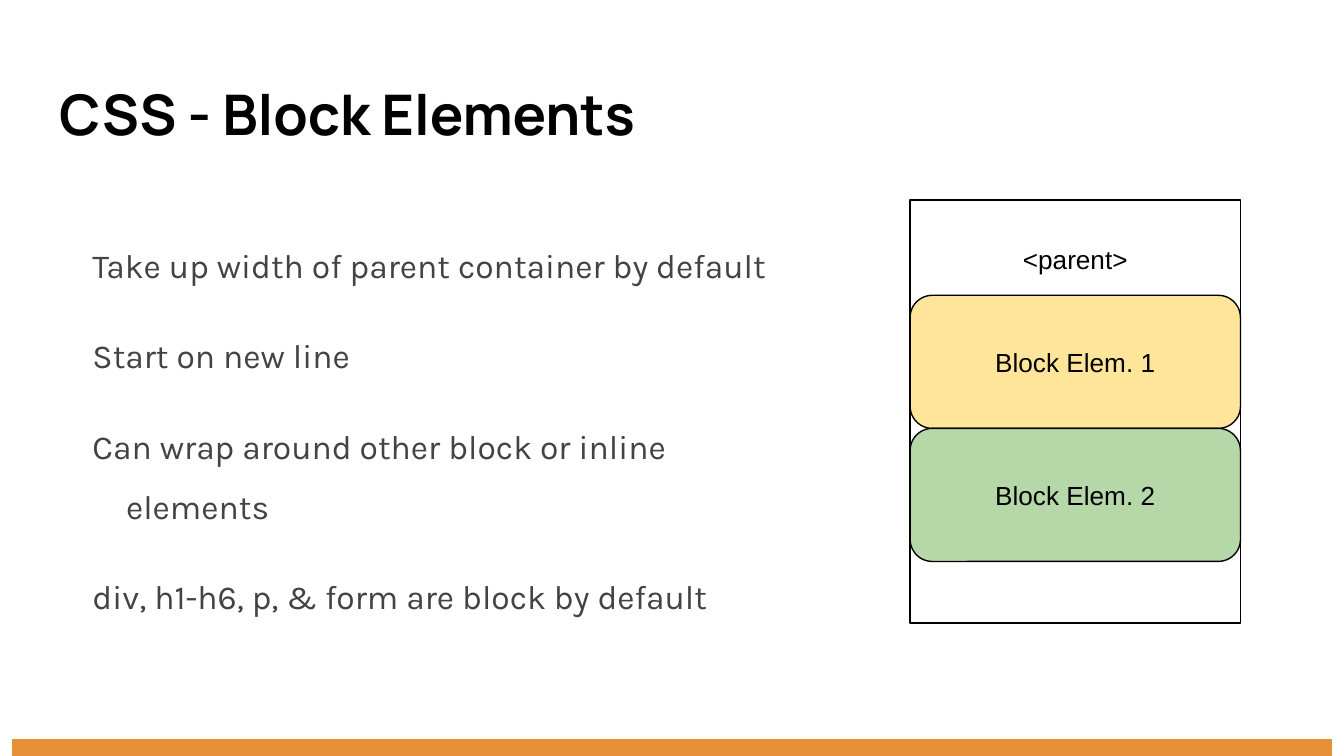
from pptx import Presentation
from pptx import util as u
from pptx.dml.color import RGBColor
from pptx.enum import shapes, text

BLACK = RGBColor(0x00, 0x00, 0x00)
GRAY = RGBColor(0x43, 0x43, 0x43)
ORANGE = RGBColor(0xE6, 0x91, 0x38)
YELLOW = RGBColor(0xFF, 0xE5, 0x99)
GREEN = RGBColor(0xB6, 0xD7, 0xA8)

TITLE_FONT = {"name": "Manrope", "size": u.Pt(30), "bold": True}
BODY_FONT = {"name": "Karla", "size": u.Pt(18)}
LABEL_FONT = {"name": "Arial", "size": u.Pt(14)}
BULLET_SPACING = {"line_spacing": 1.5, "space_after": u.Pt(16)}
INSET = 7.2

POINTS = [
    "Take up width of parent container by default",
    "Start on new line",
    "Can wrap around other block or inline elements",
    "div, h1-h6, p, & form are block by default",
]
BLOCKS = [("Block Elem. 1", YELLOW), ("Block Elem. 2", GREEN)]


def set_all(target, values):
    """Set each named attribute of the target."""
    for name, value in values.items():
        setattr(target, name, value)


def place(box):
    """Turn a box in points into lengths."""
    return [u.Pt(length) for length in box]


def write(shape, lines, font, color, align, anchor, top=INSET):
    """Fill a shape with one paragraph per line and return the paragraphs."""
    frame = shape.text_frame
    set_all(frame, {
        "word_wrap": True, "auto_size": text.MSO_AUTO_SIZE.NONE,
        "vertical_anchor": anchor, "margin_top": u.Pt(top),
        "margin_left": u.Pt(INSET), "margin_right": u.Pt(INSET),
        "margin_bottom": u.Pt(INSET),
    })
    frame.text = "\n".join(lines)
    for para in frame.paragraphs:
        para.alignment = align
        for span in para.runs:
            set_all(span.font, font)
            span.font.color.rgb = color
    return frame.paragraphs


def add_box(page, kind, box, fill=None, line=None):
    """Add a shape with a plain fill and outline."""
    shape = page.shapes.add_shape(kind, *place(box))
    shape.shadow.inherit = False
    if fill is None:
        shape.fill.background()
    else:
        shape.fill.solid()
        shape.fill.fore_color.rgb = fill
    if line is None:
        shape.line.fill.background()
    else:
        shape.line.color.rgb = line
        shape.line.width = u.Pt(0.75)
    return shape


def add_title(page, box, words):
    """Move and format the title placeholder."""
    title = page.shapes.title
    set_all(title, dict(zip(("left", "top", "width", "height"), place(box))))
    write(title, [words], TITLE_FONT, BLACK, text.PP_ALIGN.LEFT, text.MSO_ANCHOR.TOP)


def add_points(page, box, points):
    """Add the list of points with hanging indents."""
    body = page.shapes.add_textbox(*place(box))
    for para in write(body, points, BODY_FONT, GRAY, text.PP_ALIGN.LEFT, text.MSO_ANCHOR.MIDDLE):
        set_all(para, BULLET_SPACING)
        properties = para._p.get_or_add_pPr()
        properties.set("marL", str(u.Pt(36)))
        properties.set("indent", str(u.Pt(-18)))


def add_block_diagram(page, box, label, blocks):
    """Draw the parent container with its blocks stacked at full width."""
    left, top, width, height = box
    block_top, block_height = top + 51, 71.3
    parent = add_box(page, shapes.MSO_SHAPE.RECTANGLE, box, line=BLACK)
    write(parent, [label], LABEL_FONT, BLACK, text.PP_ALIGN.CENTER,
          text.MSO_ANCHOR.TOP, top=INSET + 16)
    for index, (name, fill) in enumerate(blocks):
        spot = (left, block_top + index * block_height, width, block_height)
        block = add_box(page, shapes.MSO_SHAPE.ROUNDED_RECTANGLE, spot, fill, BLACK)
        write(block, [name], LABEL_FONT, BLACK, text.PP_ALIGN.CENTER, text.MSO_ANCHOR.MIDDLE)


def main():
    """Build and save the slide."""
    deck = Presentation()
    deck.slide_width, deck.slide_height = u.Pt(720), u.Pt(405)
    page = deck.slides.add_slide(deck.slide_layouts.get_by_name("Title Only"))
    add_box(page, shapes.MSO_SHAPE.RECTANGLE, (6.5, 396, 707, 9.4), ORANGE)
    add_title(page, (24.5, 35.3, 671, 49), "CSS - Block Elements")
    add_points(page, (24.5, 90.7, 414.7, 269.3), POINTS)
    add_block_diagram(page, (487.6, 107.2, 177, 226.6), "<parent>", BLOCKS)
    deck.save("out.pptx")


if __name__ == "__main__":
    main()
